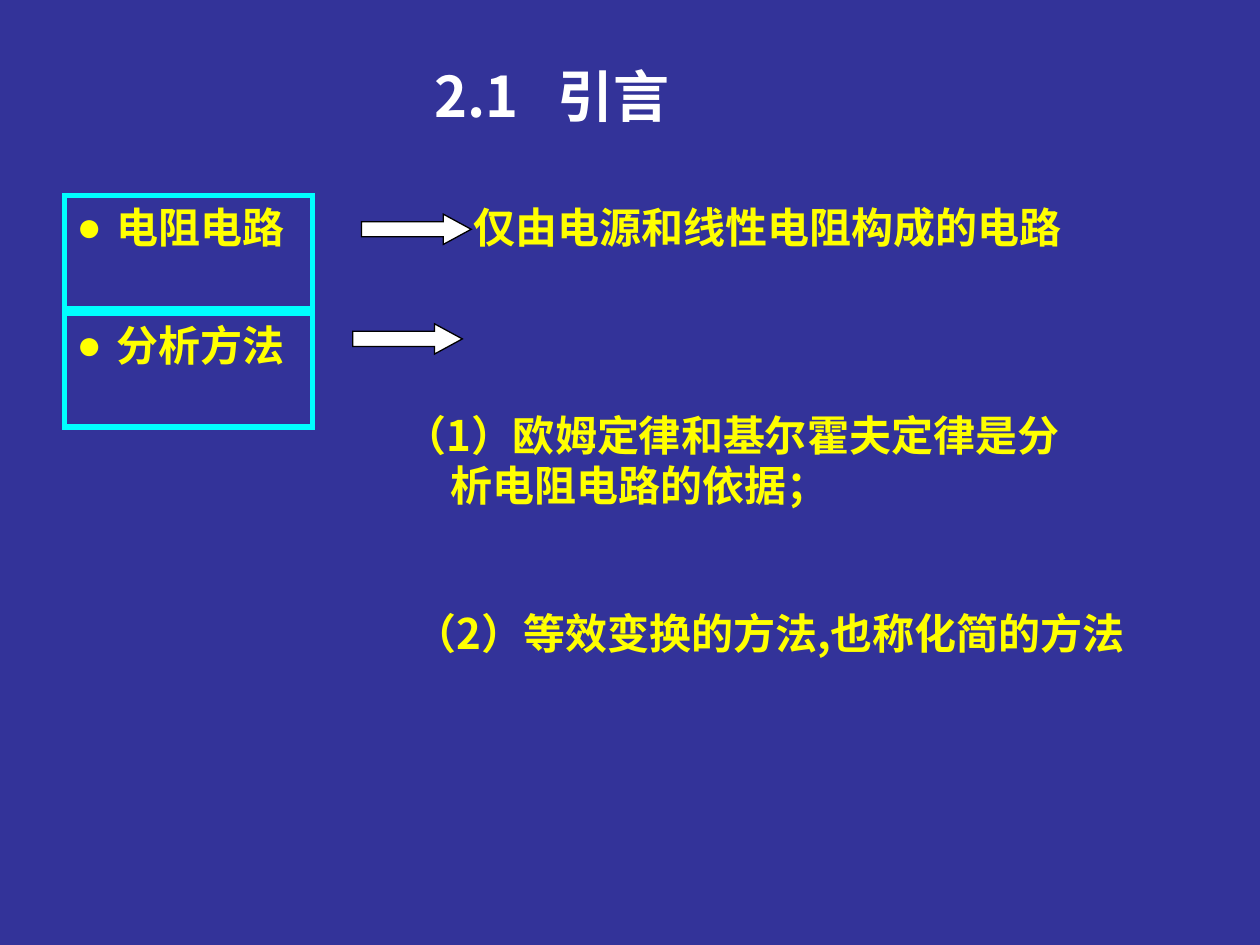
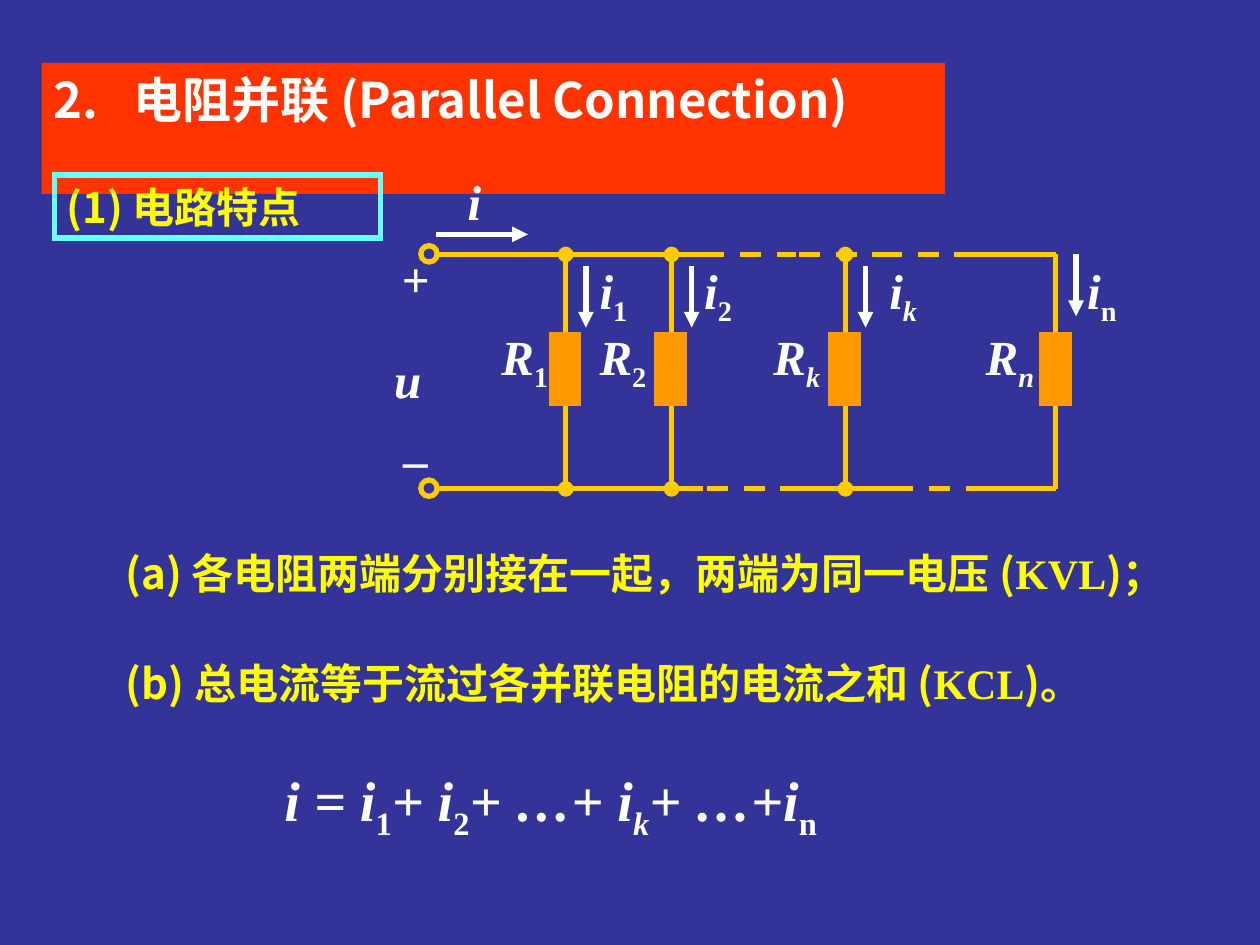
from dataclasses import dataclass

from lxml.etree import SubElement
from pptx import Presentation
from pptx.dml.color import RGBColor
from pptx.enum.dml import MSO_LINE
from pptx.enum.shapes import MSO_CONNECTOR, MSO_SHAPE
from pptx.enum.text import MSO_ANCHOR, PP_ALIGN
from pptx.oxml.ns import qn
from pptx.util import Inches, Pt

NAVY, WHITE, YELLOW, BLACK = "333399", "FFFFFF", "FFFF00", "000000"
CYAN, PALE_CYAN, RED = "00FFFF", "66FFFF", "FF3300"
WIRE, RESISTOR = "FFCC00", "FF9900"
CJK, SERIF, SANS = "Noto Sans CJK SC", "Times New Roman", "Arial"

TITLE = {"size": Pt(32), "color": WHITE, "name": CJK}
SECTION = TITLE | {"size": Pt(28)}
BODY = {"size": Pt(24), "color": YELLOW, "name": CJK}
SYMBOL = {"size": Pt(28), "color": WHITE, "name": SERIF}
EQUATION = SYMBOL | {"size": Pt(32)}

TOP, BOTTOM = 2.02, 3.88


@dataclass
class Run:
    text: str
    italic: bool = False
    sub: bool = False
    font: str = ""


@dataclass
class Para:
    runs: list[Run]
    indent: float = 0
    tab: float = 0
    bullet: str = ""


@dataclass
class Topic:
    name: str
    top: float
    arrow_left: float
    arrow_top: float


@dataclass
class Branch:
    x: float
    index: str
    resistance_left: float
    current_left: float
    current_index_italic: bool = False
    resistance_index_italic: bool = False
    arrow_top: float = 2.11


@dataclass
class BusPart:
    start: float
    end: float
    y: float
    dashed: bool = False


TOPICS = [Topic("电阻电路", 1.55, 2.87, 1.7), Topic("分析方法", 2.49, 2.8, 2.57)]

BRANCHES = [
    Branch(4.49, "1", 3.85, 4.66),
    Branch(5.33, "2", 4.63, 5.49),
    Branch(6.71, "k", 6.01, 6.96, True, True),
    Branch(8.38, "n", 7.7, 8.53, False, True, TOP),
]

BUS = [
    BusPart(3.46, 5.58, TOP),
    BusPart(5.58, 6.32, TOP, True),
    BusPart(6.34, 7.08, TOP, True),
    BusPart(6.99, 7.73, TOP, True),
    BusPart(7.73, 8.38, TOP),
    BusPart(3.46, 5.58, BOTTOM),
    BusPart(5.61, 6.34, BOTTOM, True),
    BusPart(6.34, 7.08, BOTTOM),
    BusPart(7.08, 7.82, BOTTOM, True),
    BusPart(7.73, 8.38, BOTTOM),
]


def rgb(value: str) -> RGBColor:
    return RGBColor.from_string(value)


def plain(text: str, **layout) -> Para:
    return Para([Run(text)], **layout)


def add_paragraph_marks(p, para: Para, color: str) -> None:
    """Set the left indent, bullet and tab stop of a paragraph."""
    pPr = p._p.get_or_add_pPr()
    if para.indent:
        pPr.set("marL", str(Inches(para.indent)))
    if para.bullet:
        pPr.set("indent", str(-Inches(para.indent)))
        SubElement(SubElement(pPr, qn("a:buClr")), qn("a:srgbClr"), val=color)
        SubElement(pPr, qn("a:buFont"), typeface=SANS)
        SubElement(pPr, qn("a:buChar"), char=para.bullet)
    if para.tab:
        tabs = SubElement(pPr, qn("a:tabLst"))
        SubElement(tabs, qn("a:tab"), pos=str(Inches(para.tab)), algn="l")


def write(sp, paras: list[Para], style: dict, align=PP_ALIGN.LEFT,
          anchor=MSO_ANCHOR.TOP, wrap: bool = True) -> None:
    tf = sp.text_frame
    tf.word_wrap = wrap
    tf.vertical_anchor = anchor
    for i, para in enumerate(paras):
        p = tf.add_paragraph() if i else tf.paragraphs[0]
        p.alignment = align
        add_paragraph_marks(p, para, style["color"])
        for run in para.runs:
            r = p.add_run()
            r.text = run.text
            name = run.font or style["name"]
            values = {"size": style["size"], "name": name, "bold": True, "italic": run.italic}
            for key, value in values.items():
                setattr(r.font, key, value)
            r.font.color.rgb = rgb(style["color"])
            rPr = r._r.get_or_add_rPr()
            SubElement(rPr, qn("a:ea"), typeface=CJK if name == SANS else name)
            if run.sub:
                rPr.set("baseline", "-25000")


def add_text(shapes, at: tuple, paras: list[Para], style: dict, **layout) -> None:
    write(shapes.add_textbox(*map(Inches, at)), paras, style, **layout)


def add_shape(shapes, kind, at: tuple, fill: str = "", line: str = "", width: float = 3):
    sp = shapes.add_shape(kind, *map(Inches, at))
    sp.shadow.inherit = False
    if fill:
        sp.fill.solid()
        sp.fill.fore_color.rgb = rgb(fill)
    else:
        sp.fill.background()
    if line:
        sp.line.color.rgb = rgb(line)
        sp.line.width = Pt(width)
        SubElement(sp.line._get_or_add_ln(), qn("a:miter"), lim="800000")
    else:
        sp.line.fill.background()
    return sp


def add_line(shapes, start: tuple, end: tuple, color: str, dashed: bool = False,
             head: str = "", tail: str = "") -> None:
    cxn = shapes.add_connector(MSO_CONNECTOR.STRAIGHT, *map(Inches, start + end))
    cxn.line.color.rgb = rgb(color)
    cxn.line.width = Pt(3)
    if dashed:
        cxn.line.dash_style = MSO_LINE.DASH
    ln = cxn.line._get_or_add_ln()
    for tag, kind in (("a:headEnd", head), ("a:tailEnd", tail)):
        if kind:
            SubElement(ln, qn(tag), type=kind)
    SubElement(cxn._element.spPr, qn("a:effectLst"))


def add_slide(prs):
    s = prs.slides.add_slide(prs.slide_layouts[6])
    s.background.fill.solid()
    s.background.fill.fore_color.rgb = rgb(NAVY)
    return s


def add_branch(shapes, branch: Branch) -> None:
    """Draw the resistor on its wire, with its current arrow and both labels."""
    dot = "" if branch is BRANCHES[-1] else "oval"
    add_line(shapes, (branch.x, BOTTOM), (branch.x, TOP), WIRE, head=dot, tail=dot)
    add_shape(shapes, MSO_SHAPE.RECTANGLE, (branch.x - 0.12, 2.65, 0.23, 0.56),
              RESISTOR, RESISTOR, 2.25)
    arrow_x = branch.x + 0.16
    add_line(shapes, (arrow_x, branch.arrow_top), (arrow_x, branch.arrow_top + 0.49),
             WHITE, tail="triangle")
    resistance = [Run("R", True), Run(branch.index, branch.resistance_index_italic, True)]
    add_text(shapes, (branch.resistance_left, 2.54, 0.63, 0.63), [Para(resistance)], SYMBOL,
             align=PP_ALIGN.CENTER, anchor=MSO_ANCHOR.MIDDLE, wrap=False)
    current = [Run("i", True), Run(branch.index, branch.current_index_italic, True)]
    add_text(shapes, (branch.current_left, 2.02, 0.62, 0.63), [Para(current)], SYMBOL)


def add_circuit(shapes) -> None:
    for part in BUS:
        add_line(shapes, (part.start, part.y), (part.end, part.y), WIRE, part.dashed)
    for branch in BRANCHES:
        add_branch(shapes, branch)
    for y in (TOP, BOTTOM):
        add_shape(shapes, MSO_SHAPE.OVAL, (3.34, y - 0.07, 0.13, 0.13), line=WIRE)
    add_line(shapes, (3.46, 1.86), (4.19, 1.86), WHITE, tail="triangle")
    for text, at in (("i", (3.61, 1.31, 0.31, 0.57)), ("+", (3.09, 1.92, 0.42, 0.57)),
                     ("u", (3.03, 2.72, 0.41, 0.57)), ("_", (3.1, 3.22, 0.39, 0.57))):
        add_text(shapes, at, [Para([Run(text, text.isalpha())])], SYMBOL,
                 align=PP_ALIGN.CENTER, anchor=MSO_ANCHOR.MIDDLE, wrap=False)


def build_introduction(prs) -> None:
    shapes = add_slide(prs).shapes
    add_text(shapes, (3.35, 0.44, 3.23, 0.64), [plain("2.1\t引言", tab=0.98)], TITLE)
    for topic in TOPICS:
        box = add_shape(shapes, MSO_SHAPE.RECTANGLE, (0.51, topic.top, 1.97, 0.9), line=CYAN)
        write(box, [plain(topic.name, indent=0.32, bullet="●")], BODY | {"name": SANS})
        arrow = add_shape(shapes, MSO_SHAPE.RIGHT_ARROW,
                          (topic.arrow_left, topic.arrow_top, 0.87, 0.24), WHITE, BLACK, 0.75)
        arrow.adjustments[1] = 0.92
    add_text(shapes, (3.66, 1.55, 5.2, 0.5), [plain("仅由电源和线性电阻构成的电路")], BODY)
    add_text(shapes, (3.11, 3.2, 5.83, 0.9),
             [plain("（1）欧姆定律和基尔霍夫定律是分"),
              plain("析电阻电路的依据；", indent=0.37)], BODY)
    add_text(shapes, (3.19, 4.77, 6.14, 0.9),
             [plain("（2）等效变换的方法,也称化简的方法")], BODY)


def build_parallel_connection(prs) -> None:
    shapes = add_slide(prs).shapes
    banner = add_shape(shapes, MSO_SHAPE.RECTANGLE, (0.33, 0.5, 7.17, 1.04), RED)
    write(banner, [plain("2.\t电阻并联 (Parallel Connection)", tab=0.63)], SECTION)
    add_circuit(shapes.add_group_shape().shapes)
    feature = add_shape(shapes, MSO_SHAPE.RECTANGLE, (0.43, 1.39, 2.59, 0.5), line=PALE_CYAN)
    write(feature, [plain("(1) 电路特点")], BODY)
    for top, width, text, law, close in (
        (4.3, 9.1, "(a) 各电阻两端分别接在一起，两端为同一电压 (", "KVL", ")；"),
        (5.17, 8.25, "(b) 总电流等于流过各并联电阻的电流之和 (", "KCL", ")。"),
    ):
        runs = [Run(text), Run(law, font=SERIF), Run(close)]
        add_text(shapes, (0.9, top, width, 0.5), [Para(runs)], BODY)
    terms = (("i = i", "1"), ("+ i", "2"), ("+ …+ i", "k"), ("+ …+i", "n"))
    runs = [run for text, index in terms
            for run in (Run(text, True), Run(index, index == "k", True))]
    add_text(shapes, (2.16, 6.03, 5.43, 0.71), [Para(runs)], EQUATION)


def main() -> None:
    prs = Presentation()
    prs.slide_width, prs.slide_height = Inches(10), Inches(7.5)
    build_introduction(prs)
    build_parallel_connection(prs)
    prs.save("out.pptx")


if __name__ == "__main__":
    main()
